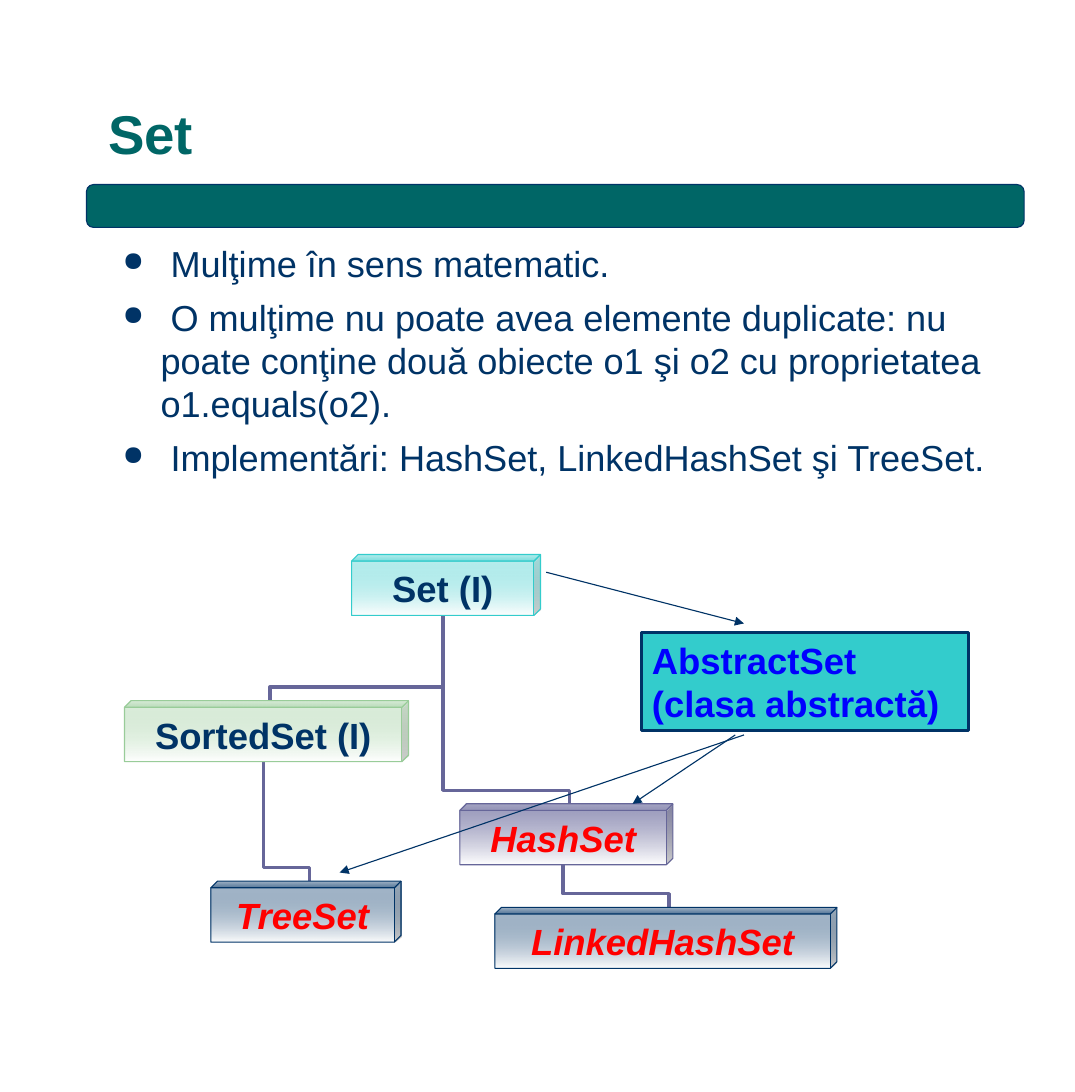
import pptx
import pptx.util
import pptx.dml.color
import pptx.enum.shapes
import pptx.enum.text
import pptx.oxml
import pptx.oxml.ns
from lxml import etree

Pt = pptx.util.Pt
qn = pptx.oxml.ns.qn
shapes = pptx.enum.shapes.MSO_SHAPE
connectors = pptx.enum.shapes.MSO_CONNECTOR
anchors = pptx.enum.text.MSO_ANCHOR
aligns = pptx.enum.text.PP_ALIGN
colours = {"teal": "006666", "navy": "003366", "purple": "666699", "cyan": "33CCCC",
           "green": "99CC99", "red": "FF0000", "blue": "0000FF", "white": "FFFFFF"}


def write(para, text, colour, **format_values):
    span = para.add_run()
    span.text = text
    span.font.name = "Arial"
    span.font.color.rgb = pptx.dml.color.RGBColor.from_string(colours[colour])
    for name, value in format_values.items():
        setattr(span.font, name, value)


def outline(item, colour, width):
    item.line.color.rgb = pptx.dml.color.RGBColor.from_string(colours[colour])
    item.line.width = Pt(width)
    if hasattr(item, "begin_x"):
        etree.SubElement(item._element.spPr, qn("a:effectLst"))
    else:
        item.shadow.inherit = False


deck = pptx.Presentation()
deck.slide_width, deck.slide_height = Pt(708.5), Pt(720)
page = deck.slides.add_slide(deck.slide_layouts[5])

bar = page.shapes.add_shape(shapes.ROUNDED_RECTANGLE, Pt(57), Pt(121.7), Pt(618), Pt(28.3))
bar.fill.solid()
bar.fill.fore_color.rgb = pptx.dml.color.RGBColor.from_string(colours["teal"])
outline(bar, "navy", 0.75)

title = page.shapes.title
title.left, title.top, title.width, title.height = Pt(64), Pt(8), Pt(599), Pt(105)
title.text_frame.vertical_anchor = anchors.BOTTOM
para = title.text_frame.paragraphs[0]
para.alignment = aligns.LEFT
para.line_spacing = 0.9
write(para, "Set", "teal", size=Pt(36), bold=True)

body = page.shapes.add_textbox(Pt(64.8), Pt(155.5), Pt(607), Pt(164))
body.text_frame.word_wrap = True
points = [
    " Mulţime în sens matematic.",
    " O mulţime nu poate avea elemente duplicate: nu poate conţine două obiecte o1 şi o2 "
    "cu proprietatea o1.equals(o2).",
    " Implementări: HashSet, LinkedHashSet şi TreeSet.",
]
for index, text in enumerate(points):
    para = body.text_frame.paragraphs[0] if index == 0 else body.text_frame.add_paragraph()
    if index:
        para.space_before = Pt(7)
    settings = para._p.get_or_add_pPr()
    settings.set("marL", str(Pt(34)))
    settings.set("indent", str(-Pt(25)))
    bullet_colour = etree.SubElement(settings, qn("a:buClr"))
    etree.SubElement(bullet_colour, qn("a:srgbClr"), val=colours["navy"])
    etree.SubElement(settings, qn("a:buSzPct"), val="75000")
    etree.SubElement(settings, qn("a:buChar"), char="●")
    write(para, text, "navy", size=Pt(23.8))

cube_height = 40.2
cubes = {
    "Set (I)": (231.8, 365.6, 124.5, "cyan", 40),
    "SortedSet (I)": (82.1, 462, 187.2, "green", 40),
    "HashSet": (303.1, 530, 140.4, "purple", 70),
    "TreeSet": (139, 581, 125.3, "navy", 40),
    "LinkedHashSet": (326.2, 598.3, 225.4, "navy", 40),
}
links = [("LinkedHashSet", "HashSet"), ("TreeSet", "SortedSet (I)"),
         ("HashSet", "Set (I)"), ("SortedSet (I)", "Set (I)")]
depth = 4.3
for child, parent in links:
    child_left, child_top, child_width = cubes[child][:3]
    parent_left, parent_top, parent_width = cubes[parent][:3]
    child_x = child_left + (child_width + depth) / 2
    parent_x = parent_left + (parent_width - depth) / 2
    parent_y = parent_top + cube_height
    middle_x, middle_y = (child_x + parent_x) / 2, (child_top + parent_y) / 2
    rise, run = child_top - parent_y, child_x - parent_x
    branch = page.shapes.add_connector(
        connectors.ELBOW, Pt(middle_x - rise / 2), Pt(middle_y + run / 2),
        Pt(middle_x + rise / 2), Pt(middle_y - run / 2))
    branch._element.spPr.find(qn("a:xfrm")).set("rot", str(270 * 60000))
    guides = branch._element.spPr.find(qn("a:prstGeom")).get_or_add_avLst()
    etree.SubElement(guides, qn("a:gd"), name="adj1", fmla=f"val {round(9 / rise * 100000)}")
    outline(branch, "purple", 2.25)

for text, (left, top, width, colour, opacity) in cubes.items():
    cube = page.shapes.add_shape(shapes.CUBE, Pt(left), Pt(top), Pt(width), Pt(cube_height))
    cube.adjustments[0] = 0.108
    cube.fill.gradient()
    cube.fill.gradient_angle = 270
    for stop, shade, position in zip(cube.fill.gradient_stops, (colour, "white"), (0, 1)):
        stop.color.rgb = pptx.dml.color.RGBColor.from_string(colours[shade])
        stop.position = position
    first_colour = next(cube._element.spPr.iter(qn("a:srgbClr")))
    etree.SubElement(first_colour, qn("a:alpha"), val=str(opacity * 1000))
    outline(cube, colour, 0.75)
    cube.text_frame.word_wrap = False
    cube.text_frame.vertical_anchor = anchors.MIDDLE
    para = cube.text_frame.paragraphs[0]
    para.alignment = aligns.CENTER
    interface = text.endswith("(I)")
    write(para, text, "navy" if interface else "red", size=Pt(24), bold=True, italic=not interface)

abstract = page.shapes.add_shape(shapes.RECTANGLE, Pt(422.6), Pt(416.9), Pt(215.5), Pt(65))
abstract.fill.solid()
abstract.fill.fore_color.rgb = pptx.dml.color.RGBColor.from_string(colours["cyan"])
outline(abstract, "navy", 2)
abstract.text_frame.word_wrap = True
abstract.text_frame.vertical_anchor = anchors.TOP
para = abstract.text_frame.paragraphs[0]
para.alignment = aligns.LEFT
write(para, "AbstractSet (clasa abstractă)", "blue", size=Pt(24), bold=True)

arrows = [(490.3, 484.6, 223.9, 575.3), (484.6, 484.6, 416.9, 530), (360, 377.3, 490.3, 411.1)]
for ends in arrows:
    arrow = page.shapes.add_connector(connectors.STRAIGHT, *map(Pt, ends))
    outline(arrow, "navy", 0.75)
    etree.SubElement(arrow.line._get_or_add_ln(), qn("a:tailEnd"), type="triangle")

deck.save("out.pptx")
